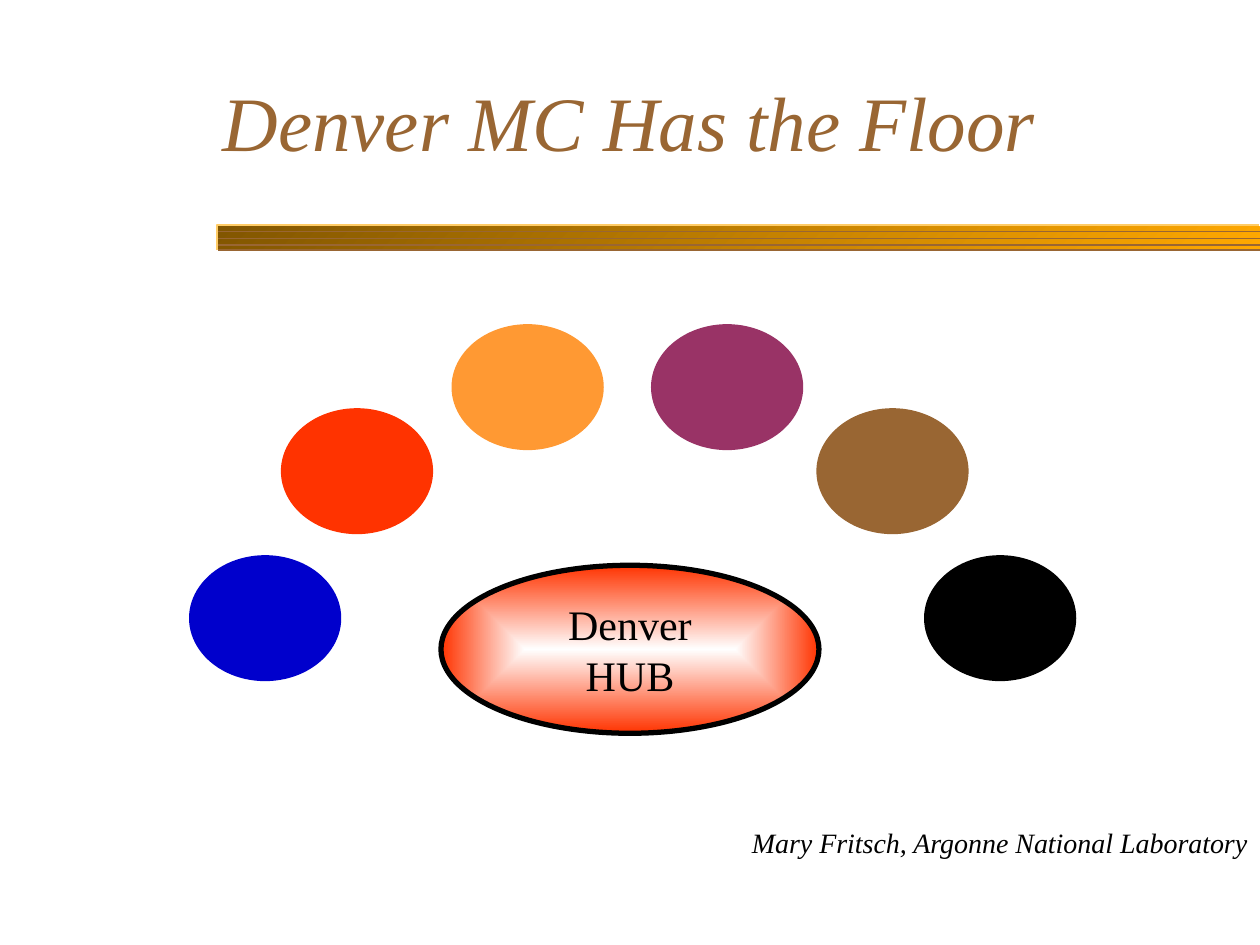
from lxml import etree
from pptx import Presentation
from pptx.dml.color import RGBColor
from pptx.enum import shapes, text
from pptx.oxml import ns
from pptx.util import Pt


def color(value):
    return RGBColor.from_string(value)


class SlideBuilder:
    font = "Times New Roman"
    brown = "996633"
    black = "000000"

    def __init__(self, slide):
        self.slide = slide

    def add_lines(self, frame, lines, size, ink, align, italic=False):
        frame.vertical_anchor = text.MSO_ANCHOR.MIDDLE
        paragraph = frame.paragraphs[0]
        paragraph.alignment = align
        for index, line in enumerate(lines):
            if index:
                paragraph.add_line_break()
            run = paragraph.add_run()
            run.text = line
            run.font.name = self.font
            run.font.size = Pt(size)
            run.font.italic = italic
            run.font.color.rgb = color(ink)

    def title(self, words, left, top, width, height):
        title = self.slide.shapes.title
        title.left, title.top = Pt(left), Pt(top)
        title.width, title.height = Pt(width), Pt(height)
        title.text_frame.auto_size = text.MSO_AUTO_SIZE.NONE
        self.add_lines(title.text_frame, [words], 44, self.brown, text.PP_ALIGN.LEFT, True)

    def credit(self, words, left, top, width, height):
        box = self.slide.shapes.add_textbox(Pt(left), Pt(top), Pt(width), Pt(height))
        box.text_frame.word_wrap = True
        box.text_frame.auto_size = text.MSO_AUTO_SIZE.SHAPE_TO_FIT_TEXT
        self.add_lines(box.text_frame, [words], 16, self.black, text.PP_ALIGN.RIGHT, True)

    def shape(self, kind, left, top, width, height, fill=None):
        shape = self.slide.shapes.add_shape(kind, Pt(left), Pt(top), Pt(width), Pt(height))
        shape.shadow.inherit = False
        shape.line.fill.background()
        if fill:
            shape.fill.solid()
            shape.fill.fore_color.rgb = color(fill)
        return shape

    def oval(self, left, top, width, height, fill=None):
        return self.shape(shapes.MSO_SHAPE.OVAL, left, top, width, height, fill)

    def gradient(self, shape, start, end):
        shape.fill.gradient()
        for stop, position, value in zip(shape.fill.gradient_stops, (0, 1), (start, end)):
            stop.position = position
            stop.color.rgb = color(value)

    def bar(self, left, top, width, height, start, end):
        bar = self.shape(shapes.MSO_SHAPE.RECTANGLE, left, top, width, height)
        self.gradient(bar, start, end)
        bar.fill.gradient_angle = 135

    def rule(self, left, right, y):
        rule = self.slide.shapes.add_connector(
            shapes.MSO_CONNECTOR.STRAIGHT, Pt(left), Pt(y), Pt(right), Pt(y))
        rule.line.color.rgb = color(self.brown)
        rule.line.width = Pt(1)
        etree.SubElement(rule.element.spPr, ns.qn("a:effectLst"))

    def edge(self, points, ink):
        start, *rest = [(Pt(x), Pt(y)) for x, y in points]
        builder = self.slide.shapes.build_freeform(*start)
        builder.add_line_segments(rest, close=False)
        edge = builder.convert_to_shape()
        edge.shadow.inherit = False
        edge.fill.background()
        edge.line.color.rgb = color(ink)
        edge.line.width = Pt(1)

    def hub(self, lines, left, top, width, height, center, rim):
        hub = self.oval(left, top, width, height)
        self.gradient(hub, center, rim)
        linear = hub.element.spPr.find(".//" + ns.qn("a:lin"))
        radial = etree.Element(ns.qn("a:path"), {"path": "rect"})
        etree.SubElement(radial, ns.qn("a:fillToRect"),
                         {side: "50000" for side in "ltrb"})
        linear.getparent().replace(linear, radial)
        hub.line.color.rgb = color(self.black)
        hub.line.width = Pt(3)
        hub.text_frame.word_wrap = False
        self.add_lines(hub.text_frame, lines, 24, self.black, text.PP_ALIGN.CENTER)


def main():
    deck = Presentation()
    deck.slide_width, deck.slide_height = Pt(720), Pt(540)
    layout = deck.slide_layouts.get_by_name("Title Only")
    builder = SlideBuilder(deck.slides.add_slide(layout))

    bar_left, bar_right = 124.5, 720
    builder.bar(bar_left, 129.5, bar_right - bar_left, 13, "FFA800", "825600")
    for y in (143, 140.1, 136.3, 132.3):
        builder.rule(bar_left, bar_right, y)
    builder.edge([(124, 143), (124, 128.4), (719.5, 128.4)], "FFCC66")

    builder.credit("Mary Fritsch, Argonne National Laboratory", 342, 468, 378, 26.6)
    builder.title("Denver MC Has the Floor", 120, 24, 595.5, 90)
    builder.hub(["Denver", "HUB"], 252, 323, 216, 96, "FFFFFF", "FF3300")

    sites = [
        (108, 317.25, "0000CC"),
        (160.5, 233.25, "FF3300"),
        (528, 317.25, "000000"),
        (466.5, 233.25, "996633"),
        (258, 185.25, "FF9933"),
        (372, 185.25, "993366"),
    ]
    for left, top, fill in sites:
        builder.oval(left, top, 87, 72, fill)

    deck.save("out.pptx")


if __name__ == "__main__":
    main()
